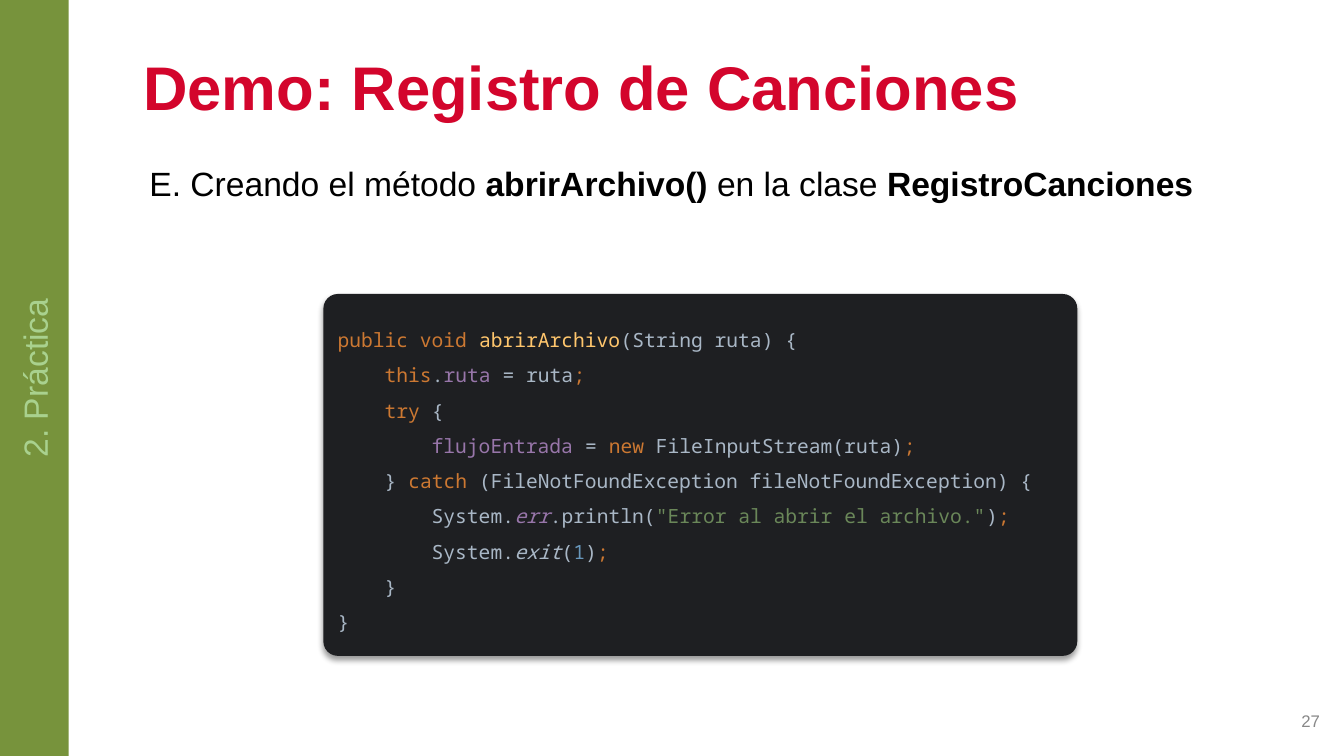
from dataclasses import dataclass

from lxml import etree
from pptx import Presentation
from pptx.dml.color import RGBColor
from pptx.enum import shapes, text
from pptx.oxml import ns
from pptx.util import Pt


@dataclass(frozen=True)
class Theme:
    sans: str = "Arial"
    mono: str = "Noto Sans Mono"
    title_size: int = 44
    body_size: int = 24
    code_size: int = 14
    number_size: int = 12
    title: str = "D3052C"
    body: str = "000000"
    number: str = "888888"
    band: str = "77933C"
    band_text: str = "A9D18E"
    panel: str = "1E1F22"
    shadow: str = "000000"
    keyword: str = "CC7832"
    method: str = "FFC66D"
    plain: str = "A9B7C6"
    field: str = "9876AA"
    string: str = "6A8759"
    literal: str = "6897BB"


THEME = Theme()
WIDTH, HEIGHT = 960, 540

# Each code line is a list of (text, theme colour[, italic])
CODE = [
    [("public void ", "keyword"), ("abrirArchivo", "method"), ("(String ruta) {", "plain")],
    [("    this", "keyword"), (".", "plain"), ("ruta ", "field"), ("= ruta", "plain"),
     (";", "keyword")],
    [("    try ", "keyword"), ("{", "plain")],
    [("        flujoEntrada ", "field"), ("= ", "plain"), ("new ", "keyword"),
     ("FileInputStream(ruta)", "plain"), (";", "keyword")],
    [("    } ", "plain"), ("catch ", "keyword"),
     ("(FileNotFoundException fileNotFoundException) {", "plain")],
    [("        System.", "plain"), ("err", "field", True), (".println(", "plain"),
     ('"Error al abrir el archivo."', "string"), (")", "plain"), (";", "keyword")],
    [("        System.", "plain"), ("exit", "plain", True), ("(", "plain"),
     ("1", "literal"), (")", "plain"), (";", "keyword")],
    [("    }", "plain")],
    [("}", "plain")],
]


def add_run(paragraph, words, size, color, font=THEME.sans, bold=False, italic=False):
    run = paragraph.add_run()
    run.text = words
    run.font.name = font
    run.font.size = Pt(size)
    run.font.bold = bold
    run.font.italic = italic
    run.font.color.rgb = RGBColor.from_string(color)


def place(shape, box):
    shape.left, shape.top, shape.width, shape.height = (Pt(value) for value in box)


def prepare_frame(shape, anchor):
    frame = shape.text_frame
    frame.word_wrap = True
    frame.auto_size = text.MSO_AUTO_SIZE.NONE
    frame.vertical_anchor = anchor
    return frame


def add_panel(slide, kind, box, color):
    shape = slide.shapes.add_shape(kind, *(Pt(value) for value in box))
    shape.shadow.inherit = False
    shape.fill.solid()
    shape.fill.fore_color.rgb = RGBColor.from_string(color)
    shape.line.fill.background()
    return shape


def add_drop_shadow(shape, blur, distance, alpha):
    effects = shape.element.spPr.find(ns.qn("a:effectLst"))
    shadow = etree.SubElement(effects, ns.qn("a:outerShdw"), blurRad=str(Pt(blur)),
                              dist=str(Pt(distance)), dir=str(90 * 60000),
                              algn="t", rotWithShape="0")
    color = etree.SubElement(shadow, ns.qn("a:srgbClr"), val=THEME.shadow)
    etree.SubElement(color, ns.qn("a:alpha"), val=str(alpha * 1000))


def fill_title(slide, box):
    title = slide.shapes.title
    place(title, box)
    paragraph = prepare_frame(title, text.MSO_ANCHOR.MIDDLE).paragraphs[0]
    paragraph.alignment = text.PP_ALIGN.LEFT
    paragraph.line_spacing = 0.9
    add_run(paragraph, "Demo: Registro de Canciones", THEME.title_size, THEME.title, bold=True)


def fill_body(slide, box):
    body = slide.placeholders[1]
    place(body, box)
    paragraph = prepare_frame(body, text.MSO_ANCHOR.TOP).paragraphs[0]
    properties = paragraph._p.get_or_add_pPr()
    properties.set("marL", str(Pt(4.5)))
    properties.set("indent", "0")
    etree.SubElement(properties, ns.qn("a:buNone"))
    paragraph.space_before = Pt(0)
    for words, bold in [("E. Creando el método ", False), ("abrirArchivo()", True),
                        (" en la clase ", False), ("RegistroCanciones", True)]:
        add_run(paragraph, words, THEME.body_size, THEME.body, bold=bold)


def add_code(slide, box):
    panel = add_panel(slide, shapes.MSO_SHAPE.ROUNDED_RECTANGLE, box, THEME.panel)
    panel.adjustments[0] = 0.04
    add_drop_shadow(panel, blur=4, distance=3, alpha=40)
    frame = prepare_frame(panel, text.MSO_ANCHOR.MIDDLE)
    for index, line in enumerate(CODE):
        paragraph = frame.add_paragraph() if index else frame.paragraphs[0]
        paragraph.alignment = text.PP_ALIGN.LEFT
        paragraph.line_spacing = 1.5
        for words, role, *italic in line:
            add_run(paragraph, words, THEME.code_size, getattr(THEME, role),
                    font=THEME.mono, italic=bool(italic))


def add_section_band(slide, box):
    band = add_panel(slide, shapes.MSO_SHAPE.RECTANGLE, box, THEME.band)
    frame = prepare_frame(band, text.MSO_ANCHOR.MIDDLE)
    band.element.txBody.bodyPr.set("vert", "vert270")
    paragraph = frame.paragraphs[0]
    paragraph.alignment = text.PP_ALIGN.CENTER
    add_run(paragraph, "2. Práctica", THEME.body_size, THEME.band_text)


def add_page_number(slide, box):
    number = slide.shapes.add_textbox(*(Pt(value) for value in box))
    paragraph = prepare_frame(number, text.MSO_ANCHOR.MIDDLE).paragraphs[0]
    paragraph.alignment = text.PP_ALIGN.RIGHT
    add_run(paragraph, "27", THEME.number_size, THEME.number)


def main():
    presentation = Presentation()
    presentation.slide_width, presentation.slide_height = Pt(WIDTH), Pt(HEIGHT)
    slide = presentation.slides.add_slide(presentation.slide_layouts[1])

    # Heading and statement
    fill_title(slide, (95, 34, 800, 62))
    fill_body(slide, (95, 113, 826, 376))

    # Page number, code panel and section band
    add_page_number(slide, (734, 500, 216, 29))
    add_code(slide, (231, 210, 538.5, 258.5))
    add_section_band(slide, (0, 0, 49, HEIGHT))

    presentation.save("out.pptx")


if __name__ == "__main__":
    main()
